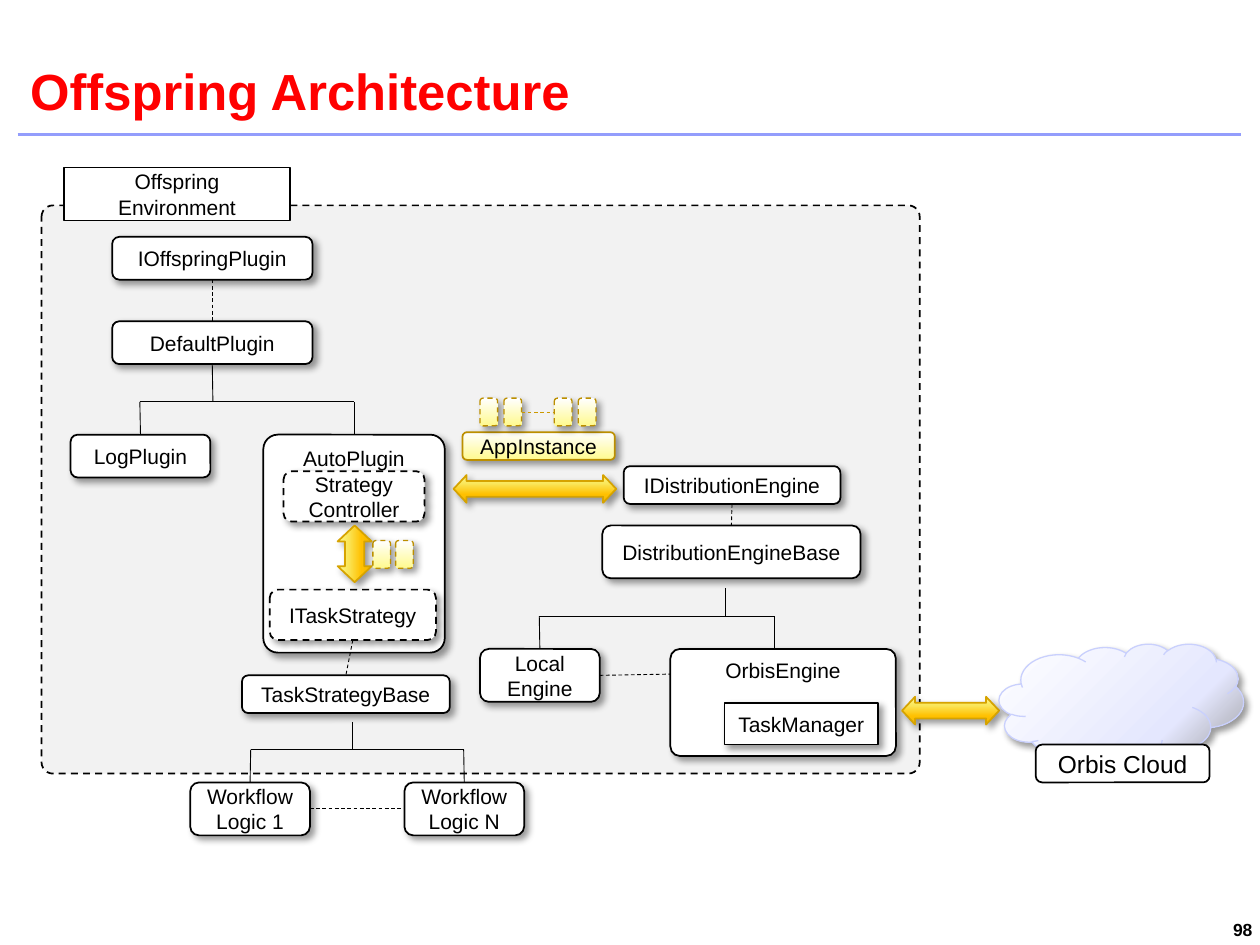
import pptx
import pptx.util
import pptx.dml.color
import pptx.enum.dml
import pptx.enum.shapes
import pptx.enum.text
import pptx.oxml
import pptx.oxml.ns
import lxml.etree
from dataclasses import dataclass

Inches = pptx.util.Inches
Pt = pptx.util.Pt
RGB = pptx.dml.color.RGBColor.from_string
qn = pptx.oxml.ns.qn
SHAPE = pptx.enum.shapes.MSO_SHAPE
DASH = pptx.enum.dml.MSO_LINE.DASH
ALIGN = pptx.enum.text.PP_ALIGN
ANCHOR = pptx.enum.text.MSO_ANCHOR


@dataclass(frozen=True)
class Theme:
    font: str = "Arial"
    title: str = "FF0000"
    rule: str = "939DFC"
    ink: str = "000000"
    paper: str = "FFFFFF"
    panel: str = "F2F2F2"
    task_line: str = "BC8F00"
    link: str = "CC9900"
    arrow_line: str = "D6A300"
    cloud_line: str = "C9D0FD"
    task: tuple = ((0, "FFFFFF"), (100, "FFFA8F"))
    arrow: tuple = ((0, "FFFA8F"), (30, "FAE75C"), (70, "FFC000"), (100, "F2B800"))
    cloud: tuple = ((0, "FFFFFF"), (70, "E4E7FE"), (100, "999999"))
    title_size: int = 29
    cloud_size: int = 14
    label_size: int = 12
    number_size: int = 10


theme = Theme()
prs = pptx.Presentation()
prs.slide_width, prs.slide_height = Inches(10), Inches(7.5)
s = prs.slides.add_slide(prs.slide_layouts[6])


def add_box(kind, x, y, w, h, text="", fill=theme.paper, line=theme.ink, width=1, dash=False,
            shadow=True, size=theme.label_size, anchor=ANCHOR.MIDDLE, adj=(), angle=90):
    sp = s.shapes.add_shape(kind, Inches(x), Inches(y), Inches(w), Inches(h))
    for i, value in enumerate(adj):
        sp.adjustments[i] = value
    if isinstance(fill, str):
        sp.fill.solid()
        sp.fill.fore_color.rgb = RGB(fill)
    else:
        sp.fill.gradient()
        sp.fill.gradient_angle = 360 - angle
        stops = sp._element.spPr.find(qn("a:gradFill")).find(qn("a:gsLst"))
        for stop in list(stops):
            stops.remove(stop)
        for position, color in fill:
            stop = lxml.etree.SubElement(stops, qn("a:gs"), pos=str(position * 1000))
            lxml.etree.SubElement(stop, qn("a:srgbClr"), val=color)
    sp.line.color.rgb = RGB(line)
    sp.line.width = Pt(width)
    if dash:
        sp.line.dash_style = DASH
    sp.shadow.inherit = False
    if shadow:
        effects = sp._element.spPr.find(qn("a:effectLst"))
        outer = lxml.etree.SubElement(effects, qn("a:outerShdw"), blurRad=str(Pt(4)), dist=str(Pt(3)),
                                      dir="2700000", algn="tl", rotWithShape="0")
        color = lxml.etree.SubElement(outer, qn("a:srgbClr"), val=theme.ink)
        lxml.etree.SubElement(color, qn("a:alpha"), val="40000")
    if text:
        tf = sp.text_frame
        tf.text = text
        tf.word_wrap = True
        tf.vertical_anchor = anchor
        for p in tf.paragraphs:
            p.alignment = ALIGN.CENTER
            for r in p.runs:
                r.font.name = theme.font
                r.font.size = Pt(size)
                r.font.color.rgb = RGB(theme.ink)
    return sp


def add_line(x1, y1, x2, y2, color=theme.ink, width=0.5, dash=False, begin=None, end=None):
    cx = s.shapes.add_connector(pptx.enum.shapes.MSO_CONNECTOR.STRAIGHT,
                                Inches(x1), Inches(y1), Inches(x2), Inches(y2))
    if begin:
        cx.begin_connect(*begin)
    if end:
        cx.end_connect(*end)
    cx.line.color.rgb = RGB(color)
    cx.line.width = Pt(width)
    if dash:
        cx.line.dash_style = DASH
    lxml.etree.SubElement(cx._element.spPr, qn("a:effectLst"))


add_line(0.14, 1.07, 9.85, 1.07, theme.rule, 1.75)

for text, x, y, w, h, insets, size, color, align, anchor in (
    ("Offspring Architecture", 0.18, 0, 9.67, 0.96, (0.06, 0.02, 0, 0),
     theme.title_size, theme.title, ALIGN.LEFT, ANCHOR.BOTTOM),
    ("98", 9.1, 7.29, 0.9, 0.18, (0, 0, 0.06, 0.06),
     theme.number_size, theme.ink, ALIGN.RIGHT, ANCHOR.TOP),
):
    tf = s.shapes.add_textbox(Inches(x), Inches(y), Inches(w), Inches(h)).text_frame
    tf.margin_left, tf.margin_top, tf.margin_right, tf.margin_bottom = map(Inches, insets)
    tf.word_wrap = True
    tf.vertical_anchor = anchor
    tf.text = text
    p = tf.paragraphs[0]
    p.alignment = align
    r = p.runs[0]
    r.font.name = theme.font
    r.font.size = Pt(size)
    r.font.bold = True
    r.font.color.rgb = RGB(color)

ROUND = SHAPE.ROUNDED_RECTANGLE
add_box(ROUND, 0.33, 1.63, 6.97, 4.51, fill=theme.panel, dash=True, shadow=False, adj=(0.02,))
add_box(SHAPE.RECTANGLE, 0.51, 1.33, 1.79, 0.42, "Offspring Environment", shadow=False)
boxes = {"AutoPlugin": add_box(ROUND, 2.09, 3.45, 1.44, 1.73, "AutoPlugin", anchor=ANCHOR.TOP, adj=(0.08,))}
add_box(ROUND, 5.32, 5.15, 1.79, 0.85, "OrbisEngine", anchor=ANCHOR.TOP, adj=(0.09,))
add_box(ROUND, 3.67, 3.43, 1.21, 0.22, "AppInstance", fill=theme.task, line=theme.task_line)
add_box(SHAPE.RECTANGLE, 5.75, 5.58, 1.22, 0.33, "TaskManager")

for text, x, y, w, h, dash in (
    ("IOffspringPlugin", 0.89, 1.88, 1.59, 0.34, False),
    ("DefaultPlugin", 0.89, 2.55, 1.59, 0.34, False),
    ("LogPlugin", 0.56, 3.45, 1.11, 0.34, False),
    ("Strategy\nController", 2.25, 3.74, 1.12, 0.4, True),
    ("ITaskStrategy", 2.14, 4.68, 1.32, 0.4, True),
    ("TaskStrategyBase", 1.92, 5.36, 1.65, 0.3, False),
    ("Workflow Logic 1", 1.51, 6.21, 0.95, 0.42, False),
    ("Workflow Logic N", 3.21, 6.21, 0.95, 0.42, False),
    ("IDistributionEngine", 4.95, 3.7, 1.72, 0.3, False),
    ("DistributionEngineBase", 4.78, 4.17, 2.05, 0.42, False),
    ("Local\nEngine", 3.81, 5.15, 0.95, 0.42, False),
):
    boxes[text] = add_box(ROUND, x, y, w, h, text, dash=dash)

for x, y, w, h, rotation in (
    (3.6, 3.77, 1.29, 0.22, 0),
    (2.59, 4.26, 0.45, 0.27, 270),
    (7.16, 5.53, 0.77, 0.22, 0),
):
    sp = add_box(SHAPE.LEFT_RIGHT_ARROW, x, y, w, h, fill=theme.arrow, line=theme.arrow_line,
                 adj=(0.56, 0.47))
    sp.rotation = rotation

for x, y in ((2.96, 4.29), (3.14, 4.29), (3.81, 3.16), (4, 3.16), (4.4, 3.16), (4.59, 3.16)):
    add_box(ROUND, x, y, 0.14, 0.22, fill=theme.task, line=theme.task_line, width=0.75, dash=True)
add_line(4.14, 3.27, 4.4, 3.27, theme.link, dash=True)

for stem_x, stem_y, bus_y, parent, children in (
    (1.69, 2.89, 3.19, "DefaultPlugin", ((1.11, 3.45, "LogPlugin"), (2.81, 3.45, "AutoPlugin"))),
    (2.8, 5.73, 5.95, None, ((1.99, 6.21, "Workflow Logic 1"), (3.68, 6.21, "Workflow Logic N"))),
    (5.76, 4.67, 4.89, None, ((4.28, 5.15, "Local\nEngine"), (6.15, 5.15, None))),
):
    add_line(stem_x, stem_y, stem_x, bus_y, begin=(boxes[parent], 2) if parent else None)
    add_line(children[0][0], bus_y, children[1][0], bus_y)
    for x, y, child in children:
        add_line(x, bus_y, x, y, end=(boxes[child], 0) if child else None)

for first, first_side, second, second_side in (
    ("IOffspringPlugin", 2, "DefaultPlugin", 0),
    ("ITaskStrategy", 2, "TaskStrategyBase", 0),
    ("IDistributionEngine", 2, "DistributionEngineBase", 0),
    ("Workflow Logic 1", 3, "Workflow Logic N", 1),
):
    add_line(0, 0, 0, 0, dash=True, begin=(boxes[first], first_side), end=(boxes[second], second_side))
add_line(4.76, 5.36, 5.32, 5.35, dash=True, begin=(boxes["Local\nEngine"], 3))

add_box(SHAPE.CLOUD, 7.93, 5.11, 1.94, 0.95, fill=theme.cloud, line=theme.cloud_line, width=0.75, angle=45)
add_box(ROUND, 8.22, 5.91, 1.38, 0.3, "Orbis Cloud", shadow=False, size=theme.cloud_size)

prs.save("out.pptx")
